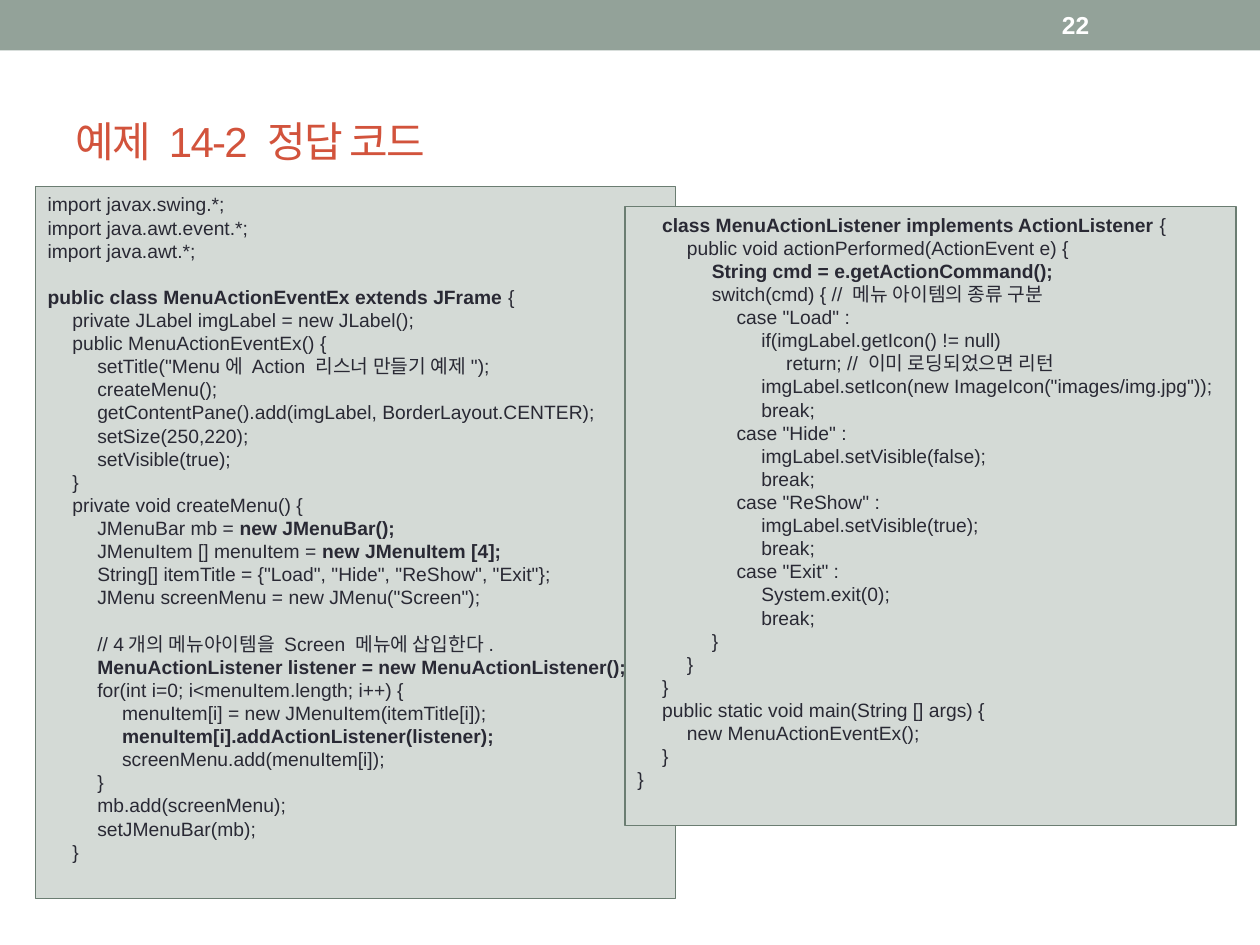
"""Build the slide with the answer code of example 14-2."""
import pptx
import pptx.util
import pptx.dml.color
import pptx.enum.shapes
import pptx.enum.text
import pptx.oxml.ns
from lxml import etree

Pt = pptx.util.Pt
HUES = {"bar": "93A299", "title": "D2533C", "page": "FFFFFF",
        "panel": "D4DAD6", "edge": "6B7D72", "code": "292934"}
PITCH = 13.2
TAB = 180000

FRAME = """\
import javax.swing.*;
import java.awt.event.*;
import java.awt.*;

`public class MenuActionEventEx extends JFrame` {
    private JLabel imgLabel = new JLabel();
    public MenuActionEventEx() {
        setTitle("Menu에 Action 리스너 만들기 예제");
        createMenu();
        getContentPane().add(imgLabel, BorderLayout.CENTER);
        setSize(250,220);
        setVisible(true);
    }"""

MENU = """\
    private void createMenu() {
        JMenuBar mb = `new JMenuBar();`
        JMenuItem [] menuItem = `new JMenuItem [4];`
        String[] itemTitle = {"Load", "Hide", "ReShow", "Exit"};
        JMenu screenMenu = new JMenu("Screen");

        // 4개의 메뉴아이템을 Screen 메뉴에 삽입한다.
        `MenuActionListener listener = new MenuActionListener();`
        for(int i=0; i<menuItem.length; i++) {
            menuItem[i] = new JMenuItem(itemTitle[i]);
            `menuItem[i].addActionListener(listener);`
            screenMenu.add(menuItem[i]);
        }
        mb.add(screenMenu);
        setJMenuBar(mb);
    }"""

LOAD = """\
    `class MenuActionListener implements ActionListener `{
        public void actionPerformed(ActionEvent e) {
            `String cmd = e.getActionCommand();`
            switch(cmd) { // 메뉴 아이템의 종류 구분
                case "Load" :
                    if(imgLabel.getIcon() != null)
                        return; // 이미 로딩되었으면 리턴
                    imgLabel.setIcon(new ImageIcon("images/img.jpg"));
                    break;"""

REST = """\
                case "Hide" :
                    imgLabel.setVisible(false);
                    break;
                case "ReShow" :
                    imgLabel.setVisible(true);
                    break;
                case "Exit" :
                    System.exit(0);
                    break;
            }
        }
    }
    public static void main(String [] args) {
        new MenuActionEventEx();
    }
}"""

deck = pptx.Presentation()
deck.slide_width = pptx.util.Inches(10)
deck.slide_height = pptx.util.Inches(7.5)
col, row = deck.slide_width / 100, deck.slide_height / 75
slide = deck.slides.add_slide(deck.slide_layouts[5])


def block(x, y, wide, high, fill):
    shape = slide.shapes.add_shape(
        pptx.enum.shapes.MSO_SHAPE.RECTANGLE,
        int(x * col), int(y * row), int(wide * col), int(high * row))
    shape.shadow.inherit = False
    shape.fill.solid()
    shape.fill.fore_color.rgb = pptx.dml.color.RGBColor.from_string(HUES[fill])
    shape.line.fill.background()
    return shape


def write(para, text, size, hue, bold=False):
    run = para.add_run()
    run.text = text
    run.font.name = "Arial"
    run.font.size = Pt(size)
    run.font.bold = bold
    run.font.color.rgb = pptx.dml.color.RGBColor.from_string(HUES[hue])
    return run


block(0, 0, 100, 4, "bar")

title = slide.shapes.title
title.left, title.top = int(5 * col), int(5.8 * row)
title.width, title.height = int(90 * col), int(10.8 * row)
page = slide.shapes.add_textbox(
    int(83.3 * col), int(0.2 * row), int(11.7 * col), int(3.6 * row))
for shape in (title, page):
    frame = shape.text_frame
    frame.word_wrap = True
    frame.vertical_anchor = pptx.enum.text.MSO_ANCHOR.MIDDLE
    frame.paragraphs[0].alignment = pptx.enum.text.PP_ALIGN.LEFT
head = write(title.text_frame.paragraphs[0], "예제 14-2 정답 코드", 24, "title")
head.font._element.set("spc", "-100")
write(page.text_frame.paragraphs[0], "22", 14, "page", True)

for spot, code in (((2.8, 14.8, 50.8, 56.5), (FRAME, MENU)),
                   ((49.6, 16.4, 48.5, 49.1), (LOAD, REST))):
    panel = block(*spot, "panel")
    panel.line.color.rgb = pptx.dml.color.RGBColor.from_string(HUES["edge"])
    panel.line.width = Pt(0.75)
    frame = panel.text_frame
    frame.word_wrap = True
    frame.vertical_anchor = pptx.enum.text.MSO_ANCHOR.TOP
    para, gap = None, 0
    for line in "\n".join(code).split("\n"):
        if not line:
            gap = PITCH
            continue
        para = frame.add_paragraph() if para else frame.paragraphs[0]
        para.alignment = pptx.enum.text.PP_ALIGN.LEFT
        para.line_spacing = Pt(PITCH)
        para.space_before = Pt(gap)
        gap = 0
        stops = etree.SubElement(
            para._p.get_or_add_pPr(), pptx.oxml.ns.qn("a:tabLst"))
        for step in range(1, 7):
            etree.SubElement(stops, pptx.oxml.ns.qn("a:tab"),
                             pos=str(step * TAB), algn="l")
        body = line.lstrip(" ")
        depth = (len(line) - len(body)) // 4
        parts = body.split("`")
        parts[0] = "\t" * depth + parts[0]
        for rank, part in enumerate(parts):
            if part:
                write(para, part, 11, "code", rank % 2 == 1)

deck.save("out.pptx")
